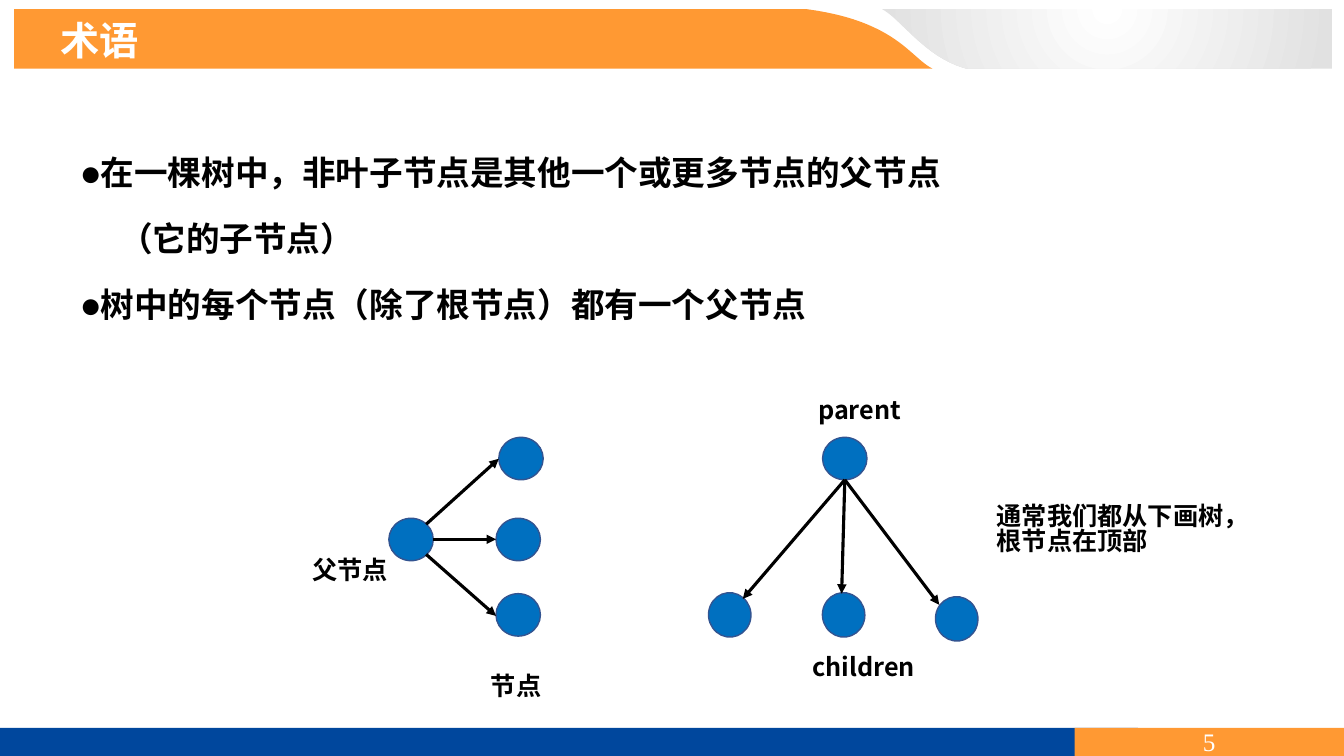
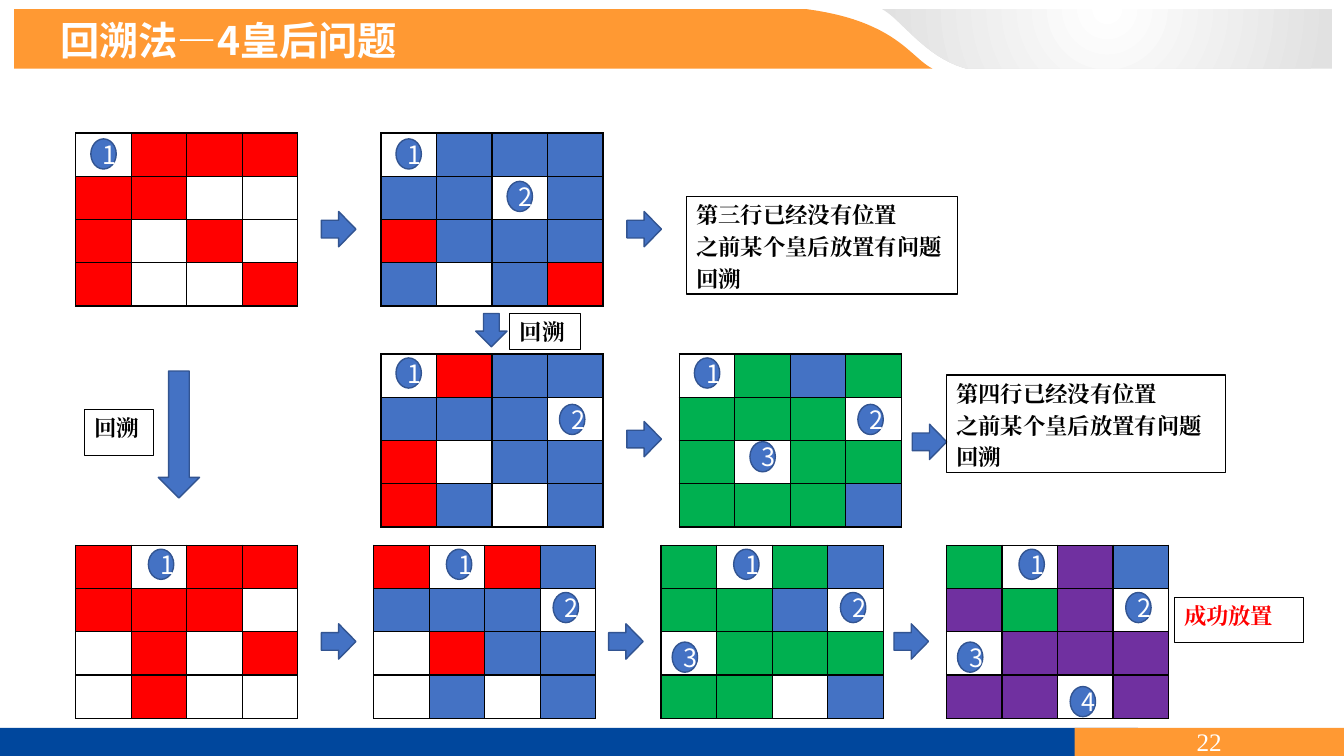
import pptx
import pptx.dml.color
import pptx.enum.shapes
import pptx.enum.text
import pptx.oxml
import pptx.oxml.ns
import pptx.util
from lxml import etree

Cm = pptx.util.Cm
Pt = pptx.util.Pt
RGBColor = pptx.dml.color.RGBColor
SHAPE = pptx.enum.shapes.MSO_SHAPE
ALIGN = pptx.enum.text.PP_ALIGN
ANCHOR = pptx.enum.text.MSO_ANCHOR
qn = pptx.oxml.ns.qn

# Shared look
BLACK = RGBColor(0x00, 0x00, 0x00)
WHITE = RGBColor(0xFF, 0xFF, 0xFF)
SILVER = RGBColor(0xE1, 0xE1, 0xE1)
ORANGE = RGBColor(0xFF, 0x99, 0x33)
NAVY = RGBColor(0x00, 0x47, 0x9D)
NODE_BLUE = RGBColor(0x00, 0x70, 0xC0)
BLUE = RGBColor(0x44, 0x72, 0xC4)
EDGE_BLUE = RGBColor(0x32, 0x54, 0x91)
RED = RGBColor(0xFF, 0x00, 0x00)
GREEN = RGBColor(0x00, 0xB0, 0x50)
PURPLE = RGBColor(0x70, 0x30, 0xA0)

SANS = "Noto Sans CJK SC"
SLIDE_W, SLIDE_H = 33.87, 19.05
FOOTER_TOP, FOOTER_H = 18.34, 0.71
PAGE_LEFT, PAGE_W = 27.08, 6.79

# Board geometry, in cm
CELL_W, CELL_H = 1.4, 1.09
CELL_FILLS = {"W": WHITE, "R": RED, "B": BLUE, "G": GREEN, "P": PURPLE}

# Offsets of queens 1, 2, ... from the board corner for each attempt
FIRST_TRY = ((0.38, 0.15), (3.18, 1.22))
SECOND_TRY = ((0.38, 0.1), (4.5, 1.27), (1.78, 2.21))
THIRD_TRY = ((1.83, 0.1), (4.52, 1.19), (0.28, 2.44), (3.12, 3.56))

# Left, top, rows of cell colours, queens placed so far
BOARDS = (
    (1.91, 3.35, "WRRR RRWW RWRW RWWR", FIRST_TRY[:1]),
    (9.6, 3.35, "WBBB BBWB RBBB BWBR", FIRST_TRY),
    (9.6, 8.92, "WRBB BBBW RWBB RBWB", SECOND_TRY[:2]),
    (17.12, 8.92, "WGBG GGGW GWGG GGGB", SECOND_TRY),
    (1.91, 13.74, "RWRR RRRW WRWR WRWW", THIRD_TRY[:1]),
    (9.42, 13.74, "RWRB BBBW WRBB WBWB", THIRD_TRY[:2]),
    (16.66, 13.74, "GWGB GGBW WGGG GGWB", THIRD_TRY[:3]),
    (23.85, 13.74, "GWPB PGPW WPPP PPWP", THIRD_TRY),
)


def box_cm(left, top, width, height):
    return Cm(left), Cm(top), Cm(width), Cm(height)


def write(frame, lines, size, font=SANS, color=BLACK, bold=True,
          spacing=None, before=0, align=None):
    """Write one paragraph per line and return the paragraphs."""
    paragraphs = []
    for number, line in enumerate(lines):
        paragraph = frame.add_paragraph() if number else frame.paragraphs[0]
        if number and before:
            paragraph.space_before = Pt(before)
        if spacing:
            paragraph.line_spacing = spacing
        if align is not None:
            paragraph.alignment = align
        run = paragraph.add_run()
        run.text = line
        run.font.size = Pt(size)
        run.font.bold = bold
        run.font.color.rgb = color
        run.font.name = font
        east_asian = etree.SubElement(run.font._element, qn("a:ea"))
        east_asian.set("typeface", font)
        paragraphs.append(paragraph)
    return paragraphs


def paint(shape, fill=None, line=None, width=1):
    shape.shadow.inherit = False
    if fill is None:
        shape.fill.background()
    else:
        shape.fill.solid()
        shape.fill.fore_color.rgb = fill
    if line is None:
        shape.line.fill.background()
    else:
        shape.line.color.rgb = line
        shape.line.width = Pt(width)
    return shape


def add_preset(slide, kind, box, fill=None, line=None, width=1):
    shape = slide.shapes.add_shape(kind, *box_cm(*box))
    return paint(shape, fill, line, width)


def add_text(slide, box, lines, size, **style):
    frame = slide.shapes.add_textbox(*box_cm(*box)).text_frame
    frame.word_wrap = True
    return write(frame, lines, size, **style)


def add_label(slide, left, top, *lines, width=3.12, height=1.02):
    add_text(slide, (left, top, width, height), lines, 18, spacing=0.83)


# Header and footer, held by the layout
def bezier(start, control_1, control_2, end, steps=24):
    points = []
    for step in range(steps + 1):
        t = step / steps
        weights = ((1 - t) ** 3, 3 * t * (1 - t) ** 2,
                   3 * t ** 2 * (1 - t), t ** 3)
        corners = (start, control_1, control_2, end)
        points.append(tuple(sum(w * corner[axis] for w, corner
                                in zip(weights, corners)) for axis in (0, 1)))
    return points


def add_outline(slide, points, fill):
    start, *rest = [(Cm(x), Cm(y)) for x, y in points]
    builder = slide.shapes.build_freeform(*start)
    builder.add_line_segments(rest, close=True)
    return paint(builder.convert_to_shape(), fill)


def add_radial_gradient(shape, inner, outer):
    shape.fill.gradient()
    for stop, color in zip(shape.fill.gradient_stops, (inner, outer)):
        stop.color.rgb = color
    stops = shape.fill.gradient_stops
    stops[0].position, stops[1].position = 0, 1
    gradient = shape.element.spPr.find(qn("a:gradFill"))
    gradient.remove(gradient.find(qn("a:lin")))
    circle = etree.SubElement(gradient, qn("a:path"), {"path": "circle"})
    etree.SubElement(circle, qn("a:fillToRect"), {
        "l": "50000", "t": "-80000", "r": "50000", "b": "180000"})


def decorate_layout(layout, slide):
    """Draw the bands on a slide, then move them to its layout."""
    top, bottom = 0.23, 1.73
    title_band = add_outline(slide, [(0.36, top)] + bezier(
        (20.32, top), (22.58, 0.53), (22.94, 1.45), (23.5, bottom))
        + [(0.36, bottom)], ORANGE)
    silver_band = add_outline(slide, [(33.58, bottom)] + bezier(
        (24.36, bottom), (23.32, 1.45), (22.76, 0.53), (22.23, top))
        + [(33.58, top)], SILVER)
    add_radial_gradient(silver_band, WHITE, SILVER)
    footer = add_preset(slide, SHAPE.RECTANGLE,
                        (0, FOOTER_TOP, 28.68, FOOTER_H), NAVY)
    page_band = add_preset(slide, SHAPE.RECTANGLE,
                           (PAGE_LEFT, FOOTER_TOP, PAGE_W, FOOTER_H), ORANGE)
    for number, band in enumerate((title_band, silver_band, footer, page_band)):
        band.element.nvSpPr.cNvPr.id = 100 + number
        layout.shapes.element.append(band.element)


def fill_frame(slide, title, page):
    heading = slide.shapes.title
    heading.left, heading.top, heading.width, heading.height = box_cm(
        1.27, 0.41, 17.37, 1.45)
    frame = heading.text_frame
    frame.vertical_anchor = ANCHOR.TOP
    frame.auto_size = pptx.enum.text.MSO_AUTO_SIZE.NONE
    write(frame, [title], 28, color=WHITE, spacing=0.9, align=ALIGN.LEFT)
    number = slide.shapes.add_textbox(
        *box_cm(PAGE_LEFT, FOOTER_TOP, PAGE_W, FOOTER_H)).text_frame
    number.word_wrap = True
    number.vertical_anchor = ANCHOR.MIDDLE
    number.margin_top = number.margin_bottom = 0
    write(number, [page], 18, font="Times New Roman", color=WHITE,
          bold=False, align=ALIGN.CENTER)


# Tree diagram
def add_node(slide, left, top, rotation=0):
    node = add_preset(slide, SHAPE.FLOWCHART_CONNECTOR,
                      (left, top, 1.12, 1.07), NODE_BLUE, EDGE_BLUE)
    node.rotation = rotation


def add_edge(slide, start, end):
    edge = slide.shapes.add_connector(
        pptx.enum.shapes.MSO_CONNECTOR.STRAIGHT,
        *(Cm(value) for value in start + end))
    edge.line.color.rgb = BLACK
    edge.line.width = Pt(2.25)
    etree.SubElement(edge.line._get_or_add_ln(), qn("a:tailEnd"),
                     {"type": "triangle"})
    etree.SubElement(edge.element.spPr, qn("a:effectLst"))


def build_terms(slide):
    points = add_text(slide, (1.78, 3.2, 22.91, 6.48), (
        "●在一棵树中，非叶子节点是其他一个或更多节点的父节点",
        "（它的子节点）",
        "●树中的每个节点（除了根节点）都有一个父节点",
    ), 24, font="Calibri", spacing=1.5, before=4)
    for paragraph, first_line in zip(points, (-0.97, 0, -0.97)):
        properties = paragraph._p.get_or_add_pPr()
        properties.set("marL", str(Cm(0.97)))
        properties.set("indent", str(Cm(first_line)))

    # Tree growing sideways
    for left, top in ((9.8, 13.06), (12.57, 11.02),
                      (12.5, 13.06), (12.5, 14.96)):
        add_node(slide, left, top)
    for start, end in (((10.74, 13.21), (12.57, 11.56)),
                       ((10.92, 13.59), (12.5, 13.59)),
                       ((10.74, 13.97), (12.5, 15.52))):
        add_edge(slide, start, end)
    add_label(slide, 7.62, 13.97, "父节点")
    add_label(slide, 12.12, 16.89, "节点")

    # Tree growing downwards
    add_node(slide, 20.73, 11.02)
    for left, top in ((23.55, 15.06), (20.7, 14.96), (17.83, 14.96)):
        add_node(slide, left, top, 83.8)
    for end in ((21.21, 14.96), (18.72, 15.09), (23.67, 15.24)):
        add_edge(slide, (21.29, 12.09), end)
    add_label(slide, 20.37, 9.93, "parent")
    add_label(slide, 20.22, 16.41, "children")
    add_label(slide, 24.87, 12.62, "通常我们都从下画树，", "根节点在顶部",
              width=6.48, height=1.8)


# Four queens
def style_cell(cell, fill):
    cell.fill.solid()
    cell.fill.fore_color.rgb = fill
    cell.margin_top = cell.margin_bottom = 0
    properties = cell._tc.get_or_add_tcPr()
    for position, side in enumerate(("a:lnL", "a:lnR", "a:lnT", "a:lnB")):
        border = etree.Element(qn(side), {"w": str(Pt(1))})
        ink = etree.SubElement(border, qn("a:solidFill"))
        etree.SubElement(ink, qn("a:srgbClr"), {"val": str(BLACK)})
        properties.insert(position, border)


def add_board(slide, left, top, pattern, queens):
    rows = pattern.split()
    size = len(rows)
    board = slide.shapes.add_table(size, size, *box_cm(
        left, top, size * CELL_W, size * CELL_H)).table
    board.first_row = board.horz_banding = False
    for r, row in enumerate(rows):
        board.rows[r].height = Cm(CELL_H)
        board.columns[r].width = Cm(CELL_W)
        for c, code in enumerate(row):
            style_cell(board.cell(r, c), CELL_FILLS[code])
    for number, (dx, dy) in enumerate(queens, 1):
        queen = add_preset(slide, SHAPE.FLOWCHART_CONNECTOR,
                           (left + dx, top + dy, 0.64, 0.76), BLUE, EDGE_BLUE)
        queen.text_frame.vertical_anchor = ANCHOR.MIDDLE
        write(queen.text_frame, [str(number)], 18, color=WHITE, bold=False,
              align=ALIGN.CENTER)


def add_note(slide, box, *lines, color=BLACK):
    note = add_preset(slide, SHAPE.RECTANGLE, box, line=BLACK, width=0.75)
    note.text_frame.vertical_anchor = ANCHOR.TOP
    write(note.text_frame, lines, 16, font="Cambria", color=color,
          before=3.5, align=ALIGN.LEFT)


def build_queens(slide):
    for board in BOARDS:
        add_board(slide, *board)

    # Steps forward and back
    for left, top in ((8.1, 5.33), (15.8, 5.33), (15.8, 10.62), (22.99, 10.69),
                      (8.1, 15.72), (15.34, 15.72), (22.53, 15.72)):
        add_preset(slide, SHAPE.RIGHT_ARROW, (left, top, 0.87, 0.89),
                   BLUE, EDGE_BLUE)
    for box in ((11.99, 7.9, 0.79, 0.84), (3.99, 9.35, 1.04, 3.2)):
        add_preset(slide, SHAPE.DOWN_ARROW, box, BLUE, EDGE_BLUE)

    # Outcomes
    for box, row in (((17.3, 4.95, 6.83, 2.46), "三"),
                     ((23.85, 9.45, 7.04, 2.46), "四")):
        add_note(slide, box, f"第{row}行已经没有位置",
                 "之前某个皇后放置有问题", "回溯")
    for box in ((2.13, 10.31, 1.75, 1.17), (12.85, 7.9, 1.78, 0.91)):
        add_note(slide, box, "回溯")
    add_note(slide, (29.59, 15.06, 3.25, 1.12), "成功放置", color=RED)


def main():
    deck = pptx.Presentation()
    deck.slide_width, deck.slide_height = Cm(SLIDE_W), Cm(SLIDE_H)
    layout = deck.slide_layouts[5]
    pages = (("术语", "5", build_terms),
             ("回溯法—4皇后问题", "22", build_queens))
    for index, (title, page, build) in enumerate(pages):
        slide = deck.slides.add_slide(layout)
        if index == 0:
            decorate_layout(layout, slide)
        fill_frame(slide, title, page)
        build(slide)
    deck.save("out.pptx")


if __name__ == "__main__":
    main()
